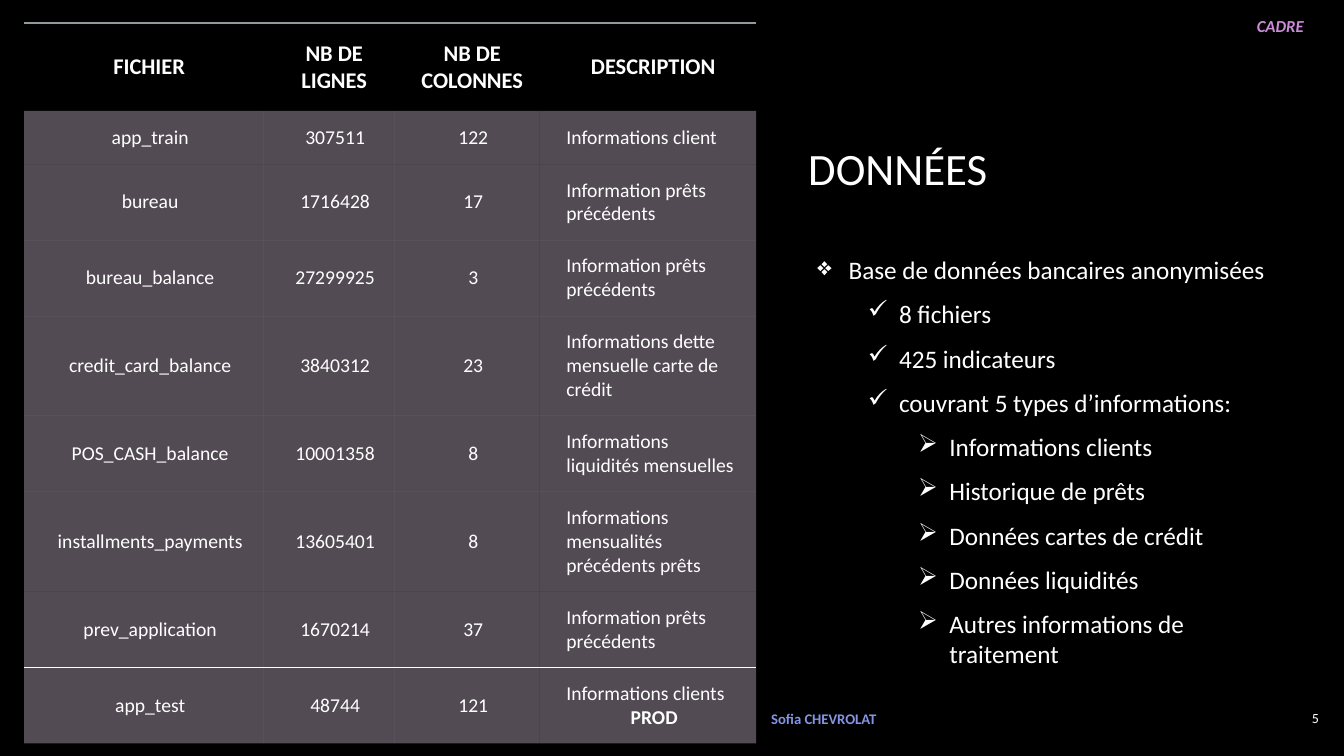
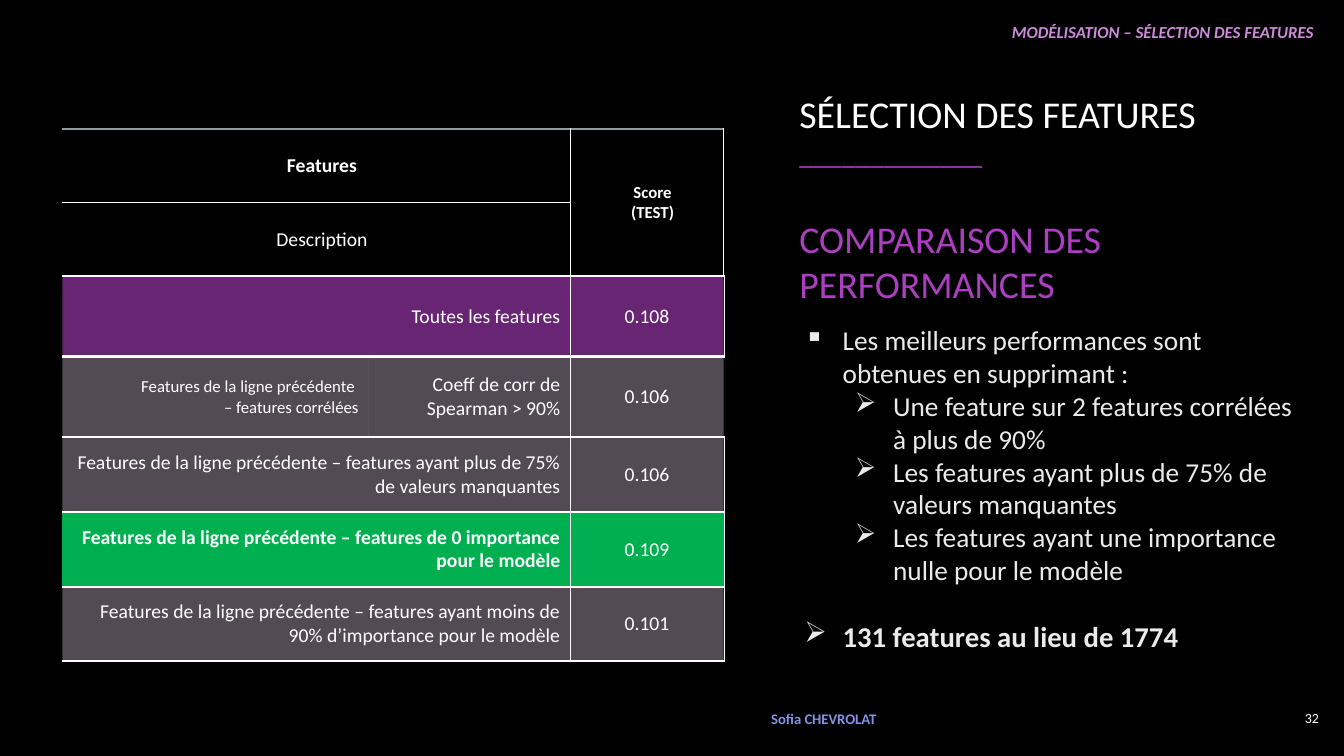
from dataclasses import dataclass

from lxml.etree import SubElement
from pptx import Presentation
from pptx.dml.color import RGBColor
from pptx.enum.text import MSO_ANCHOR, PP_ALIGN
from pptx.oxml import parse_xml
from pptx.oxml.ns import nsdecls, qn
from pptx.util import Emu, Inches, Pt


@dataclass(frozen=True)
class Theme:
    font: str = "Calibri"
    background: str = "000000"
    text: str = "FFFFFF"
    soft_text: str = "EBEBEB"
    accent: str = "AC3EC1"
    tag: str = "CD8BDA"
    author: str = "8394E4"
    header_line: str = "8F9A9D"
    row_fill: tuple = ("EED8F3", 35)
    first_fill: tuple = ("AC3EC1", 60)
    best_fill: tuple = ("00B050", 100)
    title_size: float = 32
    subtitle_size: float = 27
    rule_size: float = 20.2
    body_size: float = 18
    detail_size: float = 19.5
    result_size: float = 20.5
    header_size: float = 16
    cell_size: float = 14
    small_size: float = 12
    author_size: float = 10.5
    number_size: float = 10


theme = Theme()
LEFT, CENTER, RIGHT = PP_ALIGN.LEFT, PP_ALIGN.CENTER, PP_ALIGN.RIGHT
TOP, MIDDLE = MSO_ANCHOR.TOP, MSO_ANCHOR.MIDDLE
NO_TABLE_STYLE = "{2D5ABB26-0587-4C30-8999-92F81FD0307C}"


def write(frame, text, size=theme.cell_size, color=theme.text, bold=False, italic=False,
          align=LEFT, bullet=None, level=0, hanging=0, before=0, after=0, spacing=None):
    """Add one paragraph to a text frame, using its empty first one if there is one."""
    paragraph = frame.add_paragraph() if frame.text else frame.paragraphs[0]
    paragraph.level = level
    paragraph.alignment = align
    if bullet:
        properties = paragraph._p.get_or_add_pPr()
        properties.set("marL", str(Inches(hanging + level / 2)))
        properties.set("indent", str(-Inches(hanging)))
        SubElement(properties, qn("a:buChar"), char=bullet)
    paragraph.space_before, paragraph.space_after = Pt(before), Pt(after)
    if spacing:
        paragraph.line_spacing = spacing
    run = paragraph.add_run()
    run.text = text
    font = run.font
    font.name, font.size, font.bold, font.italic = theme.font, Pt(size), bold, italic
    font.color.rgb = RGBColor.from_string(color)


def style_cell(cell, fill=None, margins=None, **borders):
    """Set fill (colour, opacity), margins and borders left, right, top, bottom (colour, points)."""
    cell.vertical_anchor = MIDDLE
    if margins:
        cell.margin_left = Inches(margins[0])
        cell.margin_top = cell.margin_right = cell.margin_bottom = Inches(margins[1])
    properties = cell._tc.get_or_add_tcPr()
    if fill:
        cell.fill.solid()
        cell.fill.fore_color.rgb = RGBColor.from_string(fill[0])
        if fill[1] < 100:
            SubElement(properties.find(".//" + qn("a:srgbClr")), qn("a:alpha"), val=str(fill[1] * 1000))
    else:
        cell.fill.background()
    sides = [side for side in ("left", "right", "top", "bottom") if borders.get(side)]
    for position, side in enumerate(sides):
        color, width = borders[side]
        tag = "ln" + side[0].upper()
        properties.insert(position, parse_xml(
            f'<a:{tag} {nsdecls("a")} w="{Pt(width)}"><a:solidFill>'
            f'<a:srgbClr val="{color}"/></a:solidFill></a:{tag}>'))


presentation = Presentation()
presentation.slide_width, presentation.slide_height = Inches(13.33), Inches(7.5)
column, row = presentation.slide_width / 100, presentation.slide_height / 100

data_slide, selection_slide = slides = [
    presentation.slides.add_slide(presentation.slide_layouts[6]) for _ in range(2)]
for slide in slides:
    slide.background.fill.solid()
    slide.background.fill.fore_color.rgb = RGBColor.from_string(theme.background)

# Tables: left, top, column widths and row heights in hundredths of the slide
table_grids = [
    (data_slide, 1.8, 3.07, [17.78, 9.75, 10.8, 16.13],
     [11.6, 7.07, 10, 10, 12.93, 10, 12.93, 10, 10]),
    (selection_slide, 4.65, 17.07, [22.8, 15, 11.4], [9.73] * 2 + [10.67] * 2 + [9.87] * 3),
]
tables = []
for slide, left, top, widths, heights in table_grids:
    shape = slide.shapes.add_table(
        len(heights), len(widths), Emu(int(left * column)), Emu(int(top * row)),
        Emu(int(sum(widths) * column)), Emu(int(sum(heights) * row)))
    table = shape.table
    table.first_row = table.horz_banding = False
    table._tbl.tblPr.find(qn("a:tableStyleId")).text = NO_TABLE_STYLE
    for table_column, width in zip(table.columns, widths):
        table_column.width = Emu(int(width * column))
    for table_row, height in zip(table.rows, heights):
        table_row.height = Emu(int(height * row))
    tables.append(table)
file_table, score_table = tables

header_border = (theme.header_line, 1.5)
files = [
    ("FICHIER", "NB DE LIGNES", "NB DE COLONNES", "DESCRIPTION"),
    ("app_train", "307511", "122", "Informations client"),
    ("bureau", "1716428", "17", "Information prêts précédents"),
    ("bureau_balance", "27299925", "3", "Information prêts précédents"),
    ("credit_card_balance", "3840312", "23", "Informations dette mensuelle carte de crédit"),
    ("POS_CASH_balance", "10001358", "8", "Informations liquidités mensuelles"),
    ("installments_payments", "13605401", "8", "Informations mensualités précédents prêts"),
    ("prev_application", "1670214", "37", "Information prêts précédents"),
    ("app_test", "48744", "121", "Informations clients"),
]
last = len(files) - 1
for row_index, values in enumerate(files):
    for column_index, value in enumerate(values):
        cell = file_table.cell(row_index, column_index)
        if row_index == 0:
            style_cell(cell, margins=(0.27, 0.16), top=header_border)
            write(cell.text_frame, value, size=theme.header_size, bold=True, align=CENTER)
        else:
            style_cell(cell, theme.row_fill, (0.27, 0.14),
                       top=(theme.text, 1) if row_index == last else None,
                       bottom=(theme.text, 1) if row_index == last - 1 else None)
            write(cell.text_frame, value, align=LEFT if column_index == 3 else CENTER)
write(file_table.cell(last, 3).text_frame, "PROD", bold=True, align=CENTER)

# Score rows: description, second description, score, fill, width of the line below
scores = [
    ("Features", None, None, None, 0.25),
    ("Description", None, None, None, 2.25),
    ("Toutes les features", None, "0.108", theme.first_fill, 2.25),
    (None, "Coeff de corr de Spearman > 90%", "0.106", theme.row_fill, 1.5),
    ("Features de la ligne précédente – features ayant plus de 75% de valeurs manquantes",
     None, "0.106", theme.row_fill, 1.5),
    ("Features de la ligne précédente – features de 0 importance pour le modèle",
     None, "0.109", theme.best_fill, 1.5),
    ("Features de la ligne précédente – features ayant moins de 90% d’importance pour le modèle",
     None, "0.101", theme.row_fill, 1.5),
]
score_table.cell(0, 2).merge(score_table.cell(1, 2))
top_border = header_border
for row_index, (description, criterion, score, fill, line_width) in enumerate(scores):
    header = row_index < 2
    bottom_border = (theme.text, line_width)
    divider = (theme.text, 1 if header else 0.25)
    cells = [score_table.cell(row_index, index) for index in range(3)]
    if not criterion:
        cells[0].merge(cells[1])
    for column_index, cell in enumerate(cells):
        score_header = header and column_index == 2
        style_cell(cell, fill, (0.27, 0.16) if header else None,
                   left=divider if column_index == 2 else None,
                   right=divider if column_index == 1 or (column_index == 0 and not criterion) else None,
                   top=None if score_header and row_index else top_border,
                   bottom=(theme.text, 2.25) if score_header else bottom_border)
    if description:
        write(cells[0].text_frame, description, align=CENTER if header else RIGHT,
              bold=row_index == 0 or fill == theme.best_fill)
    if criterion:
        write(cells[1].text_frame, criterion, align=RIGHT)
    if score:
        write(cells[2].text_frame, score, align=CENTER)
    top_border = bottom_border
for line in ("Score", "(TEST)"):
    write(score_table.cell(0, 2).text_frame, line, size=theme.small_size, bold=True, align=CENTER)
for line in ("Features de la ligne précédente ", "– features corrélées"):
    write(score_table.cell(3, 0).text_frame, line, size=theme.small_size, align=RIGHT)

# Text boxes: left, top, width and height in hundredths of the slide
bullets = ["❖", "✓", "➢"]
contents = [(0, "Base de données bancaires anonymisées"), (1, "8 fichiers"), (1, "425 indicateurs"),
            (1, "couvrant 5 types d’informations:"), (2, "Informations clients"),
            (2, "Historique de prêts"), (2, "Données cartes de crédit"),
            (2, "Données liquidités"), (2, "Autres informations de traitement")]
detail = dict(size=theme.detail_size, color=theme.soft_text, hanging=0.38)
removal = dict(detail, bullet="➢", level=1)
tag = dict(size=theme.small_size, color=theme.tag, bold=True, italic=True, align=RIGHT)
author = dict(size=theme.author_size, color=theme.author, bold=True)

text_boxes = [
    (data_slide, (59.4, 15.07, 33.6, 15.07), MIDDLE,
     [("DONNÉES", dict(size=theme.title_size, spacing=0.9))]),
    (data_slide, (60.08, 29.87, 35.4, 62.4), MIDDLE,
     [(text, dict(size=theme.body_size, bullet=bullets[level], level=level, hanging=0.31, after=10))
      for level, text in contents]),
    (data_slide, (56.8, 1.47, 40.96, 4), TOP, [("CADRE", tag)]),
    (selection_slide, (58.74, 11.4, 37.9, 30), TOP, [
        ("SÉLECTION DES FEATURES", dict(size=theme.subtitle_size)),
        ("_____________", dict(size=theme.rule_size, color=theme.accent)),
        ("COMPARAISON DES PERFORMANCES",
         dict(size=theme.subtitle_size, color=theme.accent, before=32))]),
    (selection_slide, (59.11, 42.4, 38.4, 44.4), MIDDLE, [
        ("Les meilleurs performances sont obtenues en supprimant :", dict(detail, bullet="▪")),
        ("Une feature sur 2 features corrélées à plus de 90%", removal),
        ("Les features ayant plus de 75% de valeurs manquantes", removal),
        ("Les features ayant une importance nulle pour le modèle", removal),
        ("131 features au lieu de 1774",
         dict(detail, size=theme.result_size, bullet="➢", bold=True, before=23.4))]),
    (selection_slide, (57.54, 2.27, 40.96, 4), TOP,
     [("MODÉLISATION – SÉLECTION DES FEATURES", tag)]),
]
for slide, number in zip(slides, ("5", "32")):
    text_boxes += [
        (slide, (94.37, 92.27, 4.5, 5.47), MIDDLE,
         [(number, dict(size=theme.number_size, align=RIGHT))]),
        (slide, (56.64, 92.27, 13.2, 5.47), MIDDLE, [("Sofia CHEVROLAT", author)]),
    ]

for slide, (left, top, width, height), anchor, paragraphs in text_boxes:
    frame = slide.shapes.add_textbox(
        Emu(int(left * column)), Emu(int(top * row)),
        Emu(int(width * column)), Emu(int(height * row))).text_frame
    frame.word_wrap = True
    frame.vertical_anchor = anchor
    for text, text_format in paragraphs:
        write(frame, text, **text_format)

presentation.save("out.pptx")
